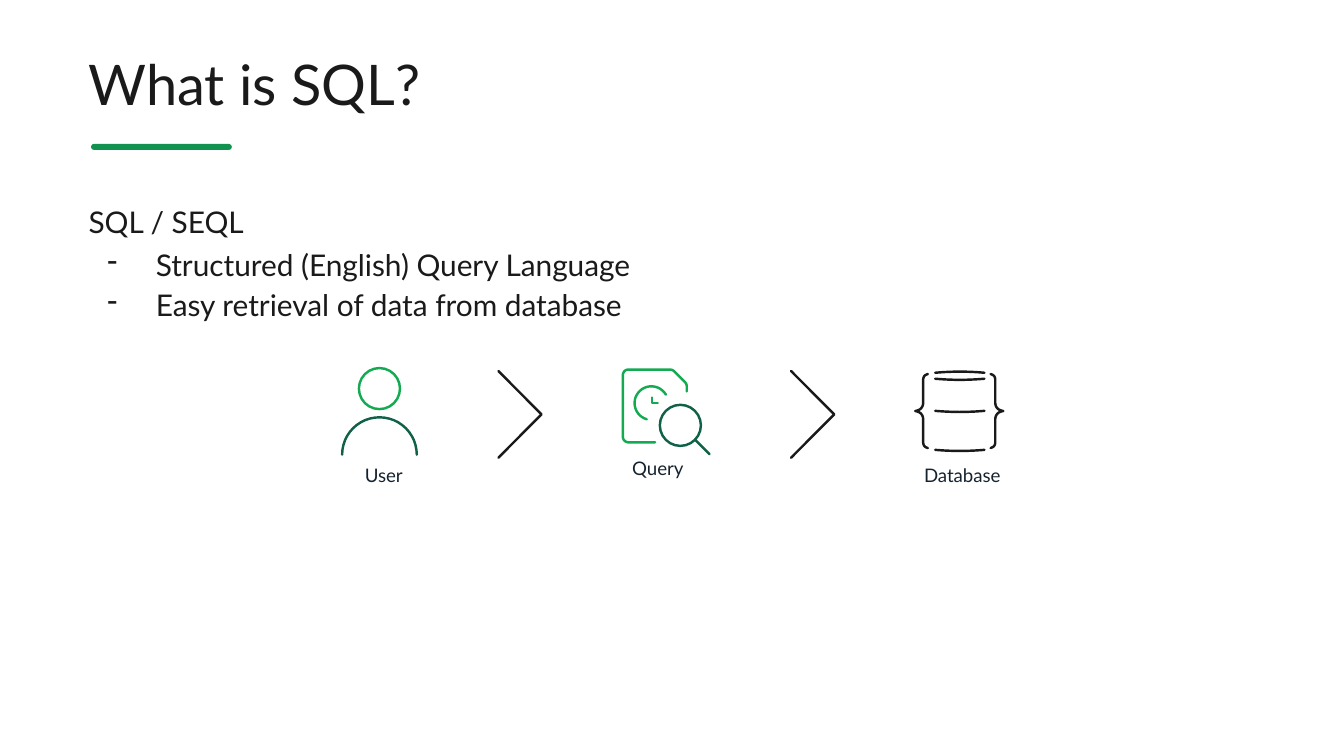
from dataclasses import dataclass
from math import cos, radians, sin

from lxml import etree
from pptx import Presentation
from pptx.dml.color import RGBColor
from pptx.enum.shapes import MSO_SHAPE
from pptx.enum.text import PP_ALIGN
from pptx.oxml.ns import qn
from pptx.util import Pt

ROUND_RECT, OVAL = MSO_SHAPE.ROUNDED_RECTANGLE, MSO_SHAPE.OVAL
LEFT, CENTER = PP_ALIGN.LEFT, PP_ALIGN.CENTER

INK = RGBColor(0x1A, 0x1A, 0x1A)
LABEL_INK = RGBColor(0x15, 0x23, 0x2E)
BAR_GREEN = RGBColor(0x12, 0x92, 0x4F)
GREEN = RGBColor(0x13, 0xAA, 0x52)
DARK_GREEN = RGBColor(0x11, 0x61, 0x49)

FONT = "Lato"
STROKE_WIDTH = 1.3
INSET = 2.9
Points = list[tuple[float, float]]


@dataclass
class Stroke:
    points: Points
    color: RGBColor = INK


@dataclass
class Ring:
    cx: float
    cy: float
    r: float
    color: RGBColor


@dataclass
class Para:
    text: str
    size: float
    color: RGBColor = INK
    align: PP_ALIGN = LEFT
    spacing: float = 1.0
    before: float = 0
    dash: bool = False


@dataclass
class TextBox:
    x: float
    y: float
    w: float
    h: float
    paras: list[Para]


def arc(cx: float, cy: float, r: float, start: int, end: int) -> Points:
    """Points on a circle; angles in degrees, clockwise from the right."""
    n = 24
    angles = [radians(start + (end - start) * i / n) for i in range(n + 1)]
    return [(cx + r * cos(a), cy + r * sin(a)) for a in angles]


def bend(p0: tuple, p1: tuple, p2: tuple) -> Points:
    """Points on a quadratic curve from p0 to p2, pulled towards p1."""
    n = 10
    ts = [i / n for i in range(n + 1)]
    return [tuple((1 - t) ** 2 * a + 2 * t * (1 - t) * b + t * t * c
                  for a, b, c in zip(p0, p1, p2)) for t in ts]


def style_line(sp, color: RGBColor) -> None:
    sp.shadow.inherit = False
    sp.fill.background()
    sp.line.color.rgb = color
    sp.line.width = Pt(STROKE_WIDTH)
    ln = sp._element.spPr.find(qn("a:ln"))
    ln.set("cap", "rnd")
    etree.SubElement(ln, qn("a:round"))


def draw_stroke(s, stroke: Stroke) -> None:
    start, *rest = [(Pt(x), Pt(y)) for x, y in stroke.points]
    builder = s.shapes.build_freeform(*start)
    builder.add_line_segments(rest, close=False)
    style_line(builder.convert_to_shape(), stroke.color)


def draw_ring(s, ring: Ring) -> None:
    sp = s.shapes.add_shape(OVAL, Pt(ring.cx - ring.r), Pt(ring.cy - ring.r),
                            Pt(2 * ring.r), Pt(2 * ring.r))
    style_line(sp, ring.color)


def draw_text(s, box: TextBox) -> None:
    tf = s.shapes.add_textbox(Pt(box.x), Pt(box.y), Pt(box.w), Pt(box.h)).text_frame
    tf.word_wrap = True
    for side in ("left", "top", "right", "bottom"):
        setattr(tf, f"margin_{side}", Pt(INSET))
    for i, para in enumerate(box.paras):
        p = tf.add_paragraph() if i else tf.paragraphs[0]
        formats = {"alignment": para.align, "line_spacing": para.spacing,
                   "space_before": Pt(para.before)}
        for name, value in formats.items():
            setattr(p, name, value)
        if para.dash:
            pPr = p._p.get_or_add_pPr()
            pPr.set("marL", str(Pt(36)))
            pPr.set("indent", str(Pt(-26)))
            etree.SubElement(pPr, qn("a:buChar"), char="-")
        r = p.add_run()
        r.text = para.text
        for name, value in {"name": FONT, "size": Pt(para.size)}.items():
            setattr(r.font, name, value)
        r.font.color.rgb = para.color


def chevron(x: float) -> Stroke:
    return Stroke([(x, 198.8), (x + 23.1, 222), (x, 245.2)])


def lid(y: float, sag: float) -> Stroke:
    return Stroke(bend((501, y), (514.2, y + 2 * sag), (527.4, y)))


def brace(side: int) -> Stroke:
    """Curly brace of the database; side is -1 for left, 1 for right."""
    half = ([(16.8, 200.4)] + bend((16.8, 200.4), (19.3, 201), (19.3, 203.5))
            + bend((19.3, 215.5), (19.3, 219.5), (23.6, 220.2)))
    lower = [(dx, 440.4 - y) for dx, y in reversed(half)]
    return Stroke([(513.9 + side * dx, y) for dx, y in half + lower])


# Icons
user = [Ring(203.3, 208.2, 11, GREEN),
        Stroke(arc(203.3, 243.6, 20, 180, 360), DARK_GREEN)]
page = ([(351, 237)] + arc(336.7, 234, 3, 90, 180) + arc(336.7, 201, 3, 180, 270)
        + bend((358.8, 198), (360.2, 198), (361.2, 199))
        + bend((366.8, 204.6), (367.9, 205.6), (367.9, 207)) + [(367.9, 209.7)])
query = [Stroke(page, GREEN),
         Stroke(arc(349, 216, 9, 106, 330), GREEN),
         Stroke([(349.2, 213), (349.2, 216), (352.4, 216)], GREEN),
         Ring(364.5, 227.9, 11, DARK_GREEN),
         Stroke([(372.3, 235.5), (380.1, 243.3)], DARK_GREEN)]
database = [brace(-1), brace(1), lid(199.7, -0.6)]
database += [lid(y, 0.6) for y in (202.9, 220.1, 241)]
arrows = [chevron(267 + i * 156.8) for i in range(2)]

# Texts
texts = [
    TextBox(44.6, 23.8, 468, 40.3, [Para("What is SQL?", 30)]),
    TextBox(44.6, 104.4, 615.6, 72, [
        Para("SQL / SEQL", 16, spacing=1.1),
        Para("Structured (English) Query Language", 16, spacing=1.1, before=2, dash=True),
        Para("Easy retrieval of data from database", 16, spacing=1.1, dash=True)])]
texts += [TextBox(cx - 27, y, 54, 21.6, [Para(label, 10, LABEL_INK, CENTER)])
          for label, cx, y in (("User", 205.6, 245.5), ("Query", 352.4, 241.7),
                               ("Database", 515.5, 245.5))]

# Slide
prs = Presentation()
prs.slide_width, prs.slide_height = Pt(720), Pt(405)
s = prs.slides.add_slide(prs.slide_layouts[6])

# Bar under the title
bar = s.shapes.add_shape(ROUND_RECT, Pt(48.8), Pt(77.1), Pt(75.4), Pt(3.2))
bar.adjustments[0] = 0.5
bar.shadow.inherit = False
bar.fill.solid()
bar.fill.fore_color.rgb = BAR_GREEN
bar.line.fill.background()

for box in texts:
    draw_text(s, box)
for part in user + query + database + arrows:
    draw = draw_ring if isinstance(part, Ring) else draw_stroke
    draw(s, part)

prs.save("out.pptx")
